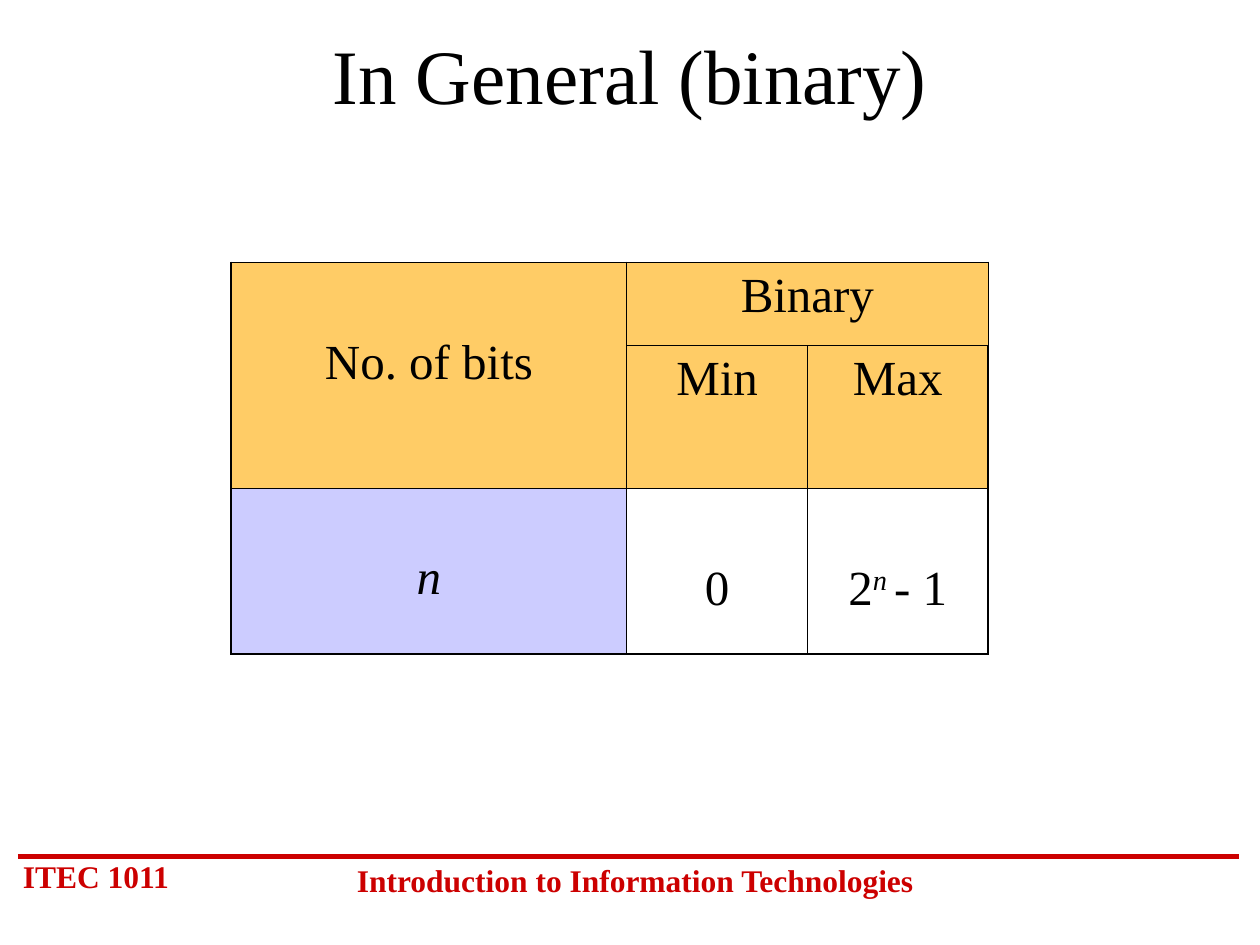
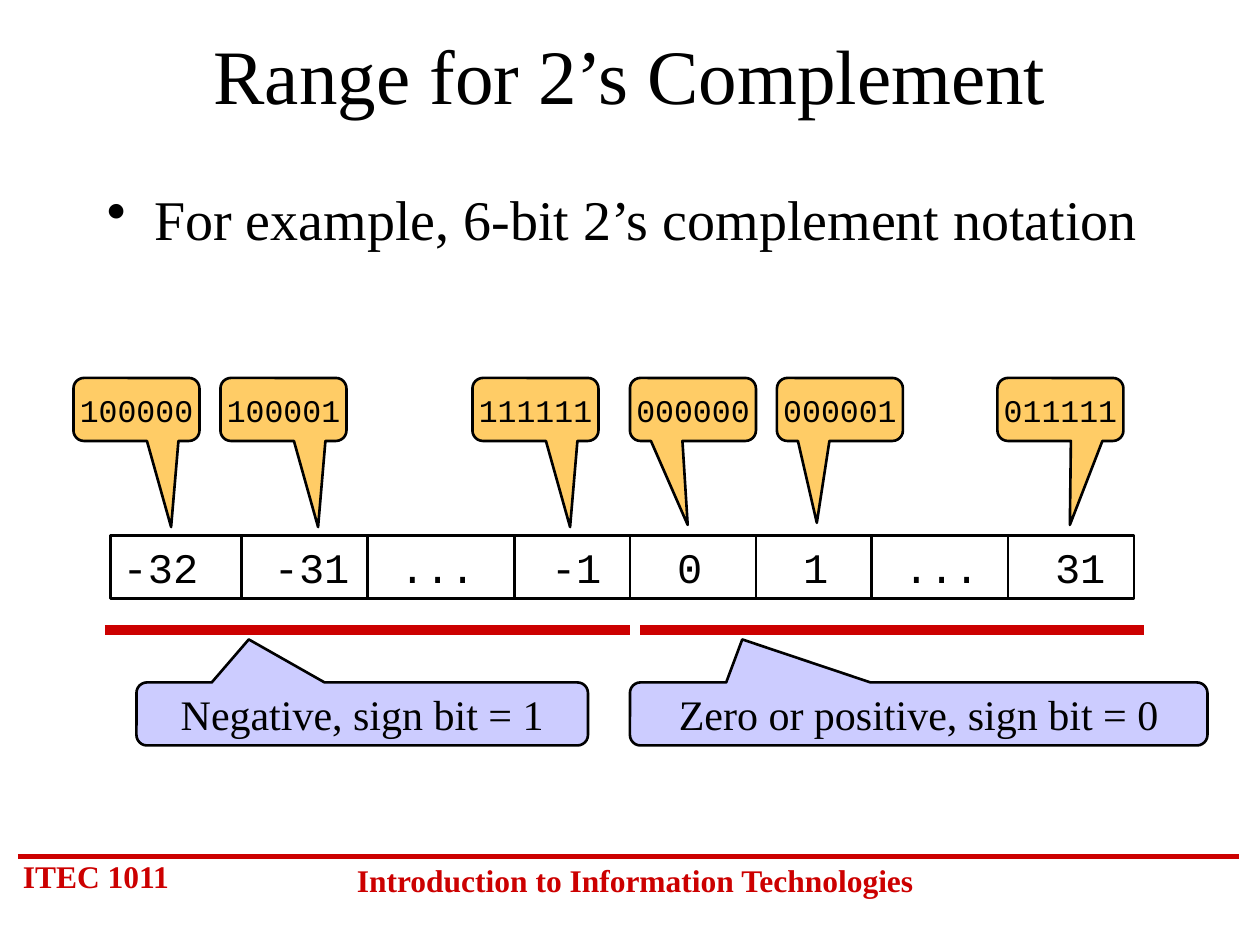
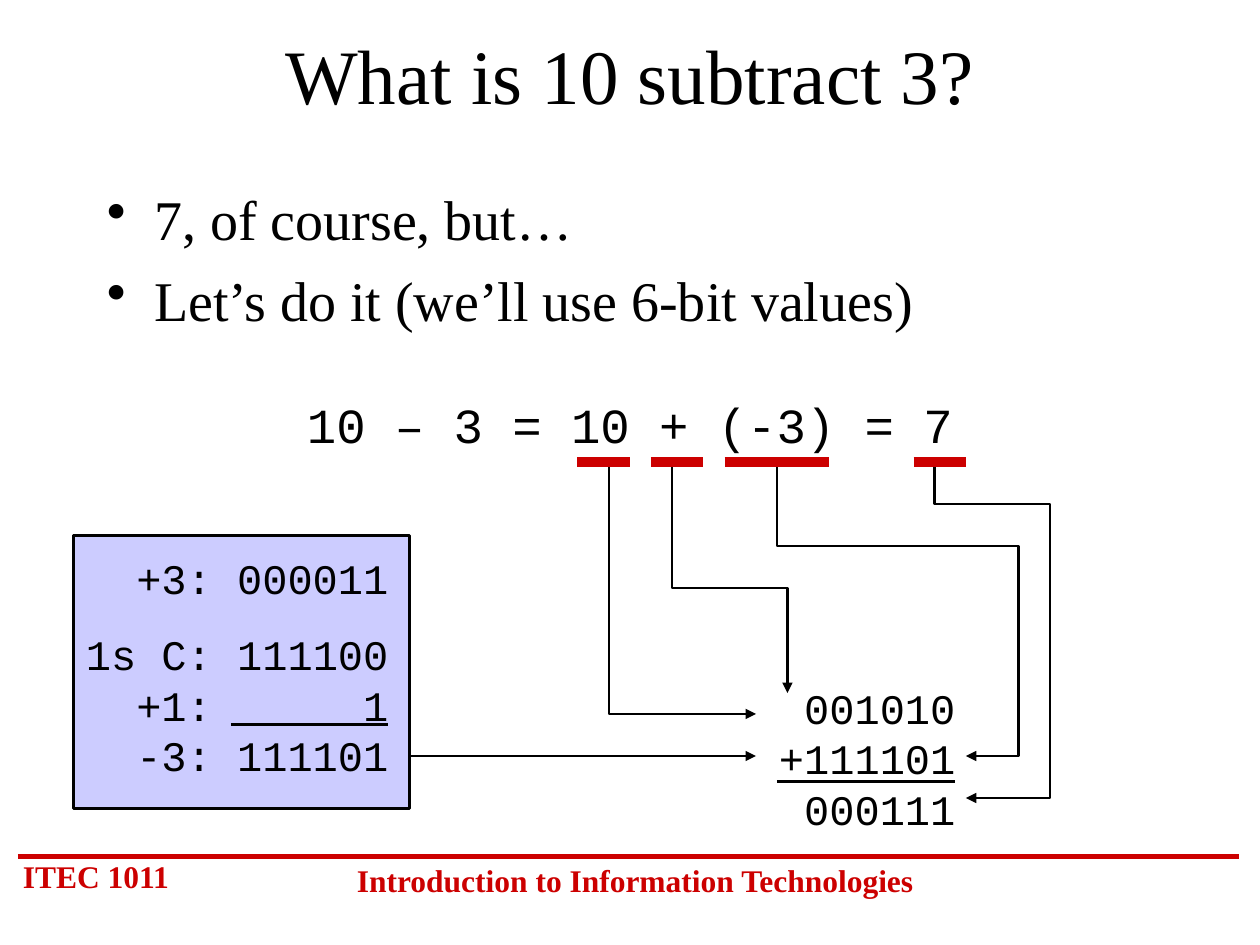
"""Build three slides on binary ranges and two's complement arithmetic."""
from dataclasses import dataclass

from lxml import etree
from pptx import Presentation
from pptx import util as u
from pptx.dml.color import RGBColor
from pptx.enum import shapes, text
from pptx.oxml.ns import qn

SCALE = u.Inches(1) // 120


@dataclass(frozen=True)
class Theme:
    """Colours, fonts and sizes shared by every page."""
    ink: str = "000000"
    red: str = "CC0000"
    amber: str = "FFCC66"
    lilac: str = "CCCCFF"
    serif: str = "Times New Roman"
    mono: str = "Courier New"
    title: int = 44
    body: int = 32
    large: int = 28
    medium: int = 24
    small: int = 18
    thin: float = 1.5
    band: int = 3
    bar: int = 6


THEME = Theme()
LEFT, CENTER = text.PP_ALIGN.LEFT, text.PP_ALIGN.CENTER


def px(*values):
    """Turn pixel lengths into EMU."""
    return [u.Emu(value * SCALE) for value in values]


def child(parent, tag, **attributes):
    """Append a drawing element to its parent."""
    return etree.SubElement(parent, qn(tag), attributes)


def write(frame, lines, size, font=THEME.serif, color=THEME.ink, align=LEFT,
          bold=False, before=0):
    """Fill a text frame with one paragraph per line and format its runs."""
    frame.text = "\n".join(lines)
    for para in frame.paragraphs:
        para.alignment = align
        para.space_before = u.Pt(before)
        for span in para.runs:
            style(span, size, font, color, bold)
    return frame


def style(span, size, font=THEME.serif, color=THEME.ink, bold=False):
    """Set the font of one run."""
    span.font.name = font
    span.font.size = u.Pt(size)
    span.font.bold = bold
    span.font.color.rgb = RGBColor.from_string(color)


def add_text(page, place, lines, size, anchor=text.MSO_ANCHOR.TOP, **options):
    """Add a wrapping text box."""
    frame = page.shapes.add_textbox(*px(*place)).text_frame
    frame.word_wrap = True
    frame.vertical_anchor = anchor
    return write(frame, lines, size, **options)


def add_tabs(frame, stops):
    """Give every paragraph the same tab stops, as (px, alignment) pairs."""
    for para in frame.paragraphs:
        tabs = child(para._p.get_or_add_pPr(), "a:tabLst")
        for position, align in stops:
            child(tabs, "a:tab", pos=str(position * SCALE), algn=align)


def add_bullets(page, lines):
    """Add the bulleted body text."""
    frame = add_text(page, (90, 170, 1020, 540), lines, THEME.body, before=8)
    for para in frame.paragraphs:
        properties = para._p.get_or_add_pPr()
        properties.set("marL", str(45 * SCALE))
        properties.set("indent", str(-45 * SCALE))
        child(properties, "a:buChar", char="•")


def outline(shape, color, width, arrow=False):
    """Draw a shape's line, with an arrowhead at its end if asked."""
    shape.line.color.rgb = RGBColor.from_string(color)
    shape.line.width = u.Pt(width)
    if arrow:
        child(shape._element.spPr.find(qn("a:ln")), "a:tailEnd", type="triangle")


def add_line(page, start, end, color=THEME.ink, width=THEME.thin, arrow=False):
    """Add a straight line."""
    line = page.shapes.add_connector(
        shapes.MSO_CONNECTOR.STRAIGHT, *px(*start, *end))
    outline(line, color, width, arrow)
    child(line._element.spPr, "a:effectLst")


def add_route(page, *points):
    """Add an angled arrow through the given points."""
    builder = page.shapes.build_freeform(*points[0], scale=SCALE)
    builder.add_line_segments(points[1:], close=False)
    route = builder.convert_to_shape()
    route.shadow.inherit = False
    route.fill.background()
    outline(route, THEME.ink, THEME.thin, arrow=True)


def add_box(page, place, fill=None, kind=shapes.MSO_SHAPE.RECTANGLE):
    """Add an outlined shape, filled if a colour is given."""
    box = page.shapes.add_shape(kind, *px(*place))
    box.shadow.inherit = False
    if fill:
        box.fill.solid()
        box.fill.fore_color.rgb = RGBColor.from_string(fill)
    else:
        box.fill.background()
    outline(box, THEME.ink, THEME.thin)
    return box


def add_callout(page, place, tip, label, fill, size, font, inset):
    """Add a rounded callout whose tail ends at the tip."""
    left, top, width, height = place
    box = add_box(page, place, fill, shapes.MSO_SHAPE.ROUNDED_RECTANGULAR_CALLOUT)
    box.adjustments[0] = (tip[0] - left) / width - 0.5
    box.adjustments[1] = (tip[1] - top) / height - 0.5
    frame = box.text_frame
    frame.margin_left, frame.margin_right = px(inset, inset)
    frame.margin_top, frame.margin_bottom = px(0, 0)
    frame.vertical_anchor = text.MSO_ANCHOR.MIDDLE
    write(frame, [label], size, font=font, align=CENTER)


def add_page(deck, title):
    """Add a blank page with its title and the course footer."""
    page = deck.slides.add_slide(deck.slide_layouts[6])
    add_line(page, (17, 816), (1180, 816), THEME.red, THEME.band)
    footer = dict(color=THEME.red, bold=True, before=11.2)
    add_text(page, (10, 810, 180, 48), ["ITEC 1011"], THEME.small, **footer)
    add_text(page, (320, 814, 570, 48), ["Introduction to Information Technologies"],
             THEME.small, align=CENTER, **footer)
    add_text(page, (90, 20, 1020, 100), [title], THEME.title,
             text.MSO_ANCHOR.MIDDLE, align=CENTER)
    return page


def add_borders(cell, widths):
    """Draw cell borders in left, right, top, bottom order."""
    properties = cell._tc.get_or_add_tcPr()
    for index, (side, width) in enumerate(zip("LRTB", widths)):
        line = etree.Element(qn(f"a:ln{side}"), w=str(u.Pt(width)))
        child(child(line, "a:solidFill"), "a:srgbClr", val=THEME.ink)
        properties.insert(index, line)


def fill_cell(cell, label, fill, top):
    """Write a centred label in a cell below its top margin."""
    cell.margin_top = px(top)[0]
    write(cell.text_frame, [label], THEME.large, align=CENTER, before=7)
    if fill:
        cell.fill.solid()
        cell.fill.fore_color.rgb = RGBColor.from_string(fill)
    else:
        cell.fill.background()


def add_range_table(page):
    """Add the table of the smallest and largest binary values."""
    widths, heights = (377, 172, 172), (79, 136, 158)
    table = page.shapes.add_table(
        3, 3, *px(220, 250, sum(widths), sum(heights))).table
    table.first_row = table.horz_banding = False
    for column, width in zip(table.columns, px(*widths)):
        column.width = width
    for row, height in zip(table.rows, px(*heights)):
        row.height = height
    table.cell(0, 0).merge(table.cell(1, 0))
    table.cell(0, 1).merge(table.cell(0, 2))
    cells = [
        (0, 0, "No. of bits", THEME.amber, 70), (0, 1, "Binary", THEME.amber, 6),
        (1, 1, "Min", THEME.amber, 6), (1, 2, "Max", THEME.amber, 6),
        (2, 0, "n", THEME.lilac, 60), (2, 1, "0", None, 70), (2, 2, "2", None, 70),
    ]
    for row, column, label, fill, top in cells:
        fill_cell(table.cell(row, column), label, fill, top)
    for row in range(3):
        for column in range(3):
            edges = (column == 0, column == 2, row == 0, row == 2)
            add_borders(table.cell(row, column),
                        [1.08 if edge else 0.45 for edge in edges])
    table.cell(2, 0).text_frame.paragraphs[0].runs[0].font.italic = True
    power = table.cell(2, 2).text_frame.paragraphs[0]
    for label in ("n ", "- 1"):
        span = power.add_run()
        span.text = label
        style(span, THEME.large)
    exponent = power.runs[1]
    exponent.font.italic = True
    exponent._r.get_or_add_rPr().set("baseline", "30000")


def add_number_strip(page):
    """Add the row of decimal values with its dividers."""
    strip = add_box(page, (105, 510, 975, 60))
    frame = strip.text_frame
    frame.vertical_anchor = text.MSO_ANCHOR.TOP
    write(frame, ["-32\t-31\t...\t-1\t0\t1\t...\t31"], THEME.medium,
          font=THEME.mono, before=15)
    add_tabs(frame, [(24 * column, "l") for column in (6, 11, 17, 22, 27, 31, 37)])
    for x in (230, 350, 490, 600, 720, 830, 960):
        add_line(page, (x, 511), (x, 571))


def build_general(deck):
    """Build the page on the general binary range."""
    add_range_table(add_page(deck, "In General (binary)"))


def build_range(deck):
    """Build the page on the two's complement range."""
    page = add_page(deck, "Range for 2’s Complement")
    add_bullets(page, ["For example, 6-bit 2’s complement notation"])
    add_number_strip(page)
    patterns = [
        (600, (655, 500), "000000"), (450, (543, 502), "111111"),
        (740, (778, 498), "000001"), (950, (1019, 500), "011111"),
        (70, (163, 502), "100000"), (210, (303, 502), "100001"),
    ]
    for left, tip, bits in patterns:
        add_callout(page, (left, 360, 120, 60), tip, bits, THEME.amber,
                    THEME.small, THEME.mono, 0)
    signs = [
        (100, 600, 130, 430, 237, "Negative, sign bit = 1"),
        (610, 1090, 600, 550, 707, "Zero or positive, sign bit = 0"),
    ]
    for start, end, left, width, tip, label in signs:
        add_line(page, (start, 600), (end, 600), THEME.red, THEME.bar)
        add_callout(page, (left, 650, width, 60), (tip, 609), label, THEME.lilac,
                    THEME.medium, THEME.serif, 12)


def build_subtraction(deck):
    """Build the page that works through a subtraction."""
    page = add_page(deck, "What is 10 subtract 3?")
    add_bullets(page, ["7, of course, but…", "Let’s do it (we’ll use 6-bit values)"])
    add_text(page, (210, 370, 780, 68), ["10 – 3 = 10 + (-3) = 7"], THEME.large,
             font=THEME.mono, align=CENTER, before=17.5)
    add_box(page, (70, 510, 320, 260), THEME.lilac)
    working = dict(font=THEME.mono, before=15)
    add_text(page, (730, 644, 210, 156), [" 001010\v+111101\v 000111"],
             THEME.medium, **working)
    steps = ["\t+3: 000011", "1s C: 111100\v\t+1:\t1\v\t-3: 111101"]
    frame = add_text(page, (70, 520, 360, 229), steps, THEME.medium, **working)
    add_tabs(frame, [(48, "l"), (288, "r")])
    add_line(page, (220, 690), (370, 690))
    add_line(page, (740, 744), (910, 744))
    add_line(page, (390, 720), (720, 720), arrow=True)
    add_route(page, (580, 440), (580, 680), (720, 680))
    add_route(page, (640, 440), (640, 560), (750, 560), (750, 660))
    add_route(page, (740, 440), (740, 520), (970, 520), (970, 720), (920, 720))
    add_route(page, (890, 440), (890, 480), (1000, 480), (1000, 760), (920, 760))
    for start, end in ((550, 600), (620, 670), (690, 790), (870, 920)):
        add_line(page, (start, 440), (end, 440), THEME.red, THEME.bar)


def main():
    """Build and save the deck."""
    deck = Presentation()
    deck.slide_width, deck.slide_height = px(1200, 900)
    build_general(deck)
    build_range(deck)
    build_subtraction(deck)
    deck.save("out.pptx")


if __name__ == "__main__":
    main()
